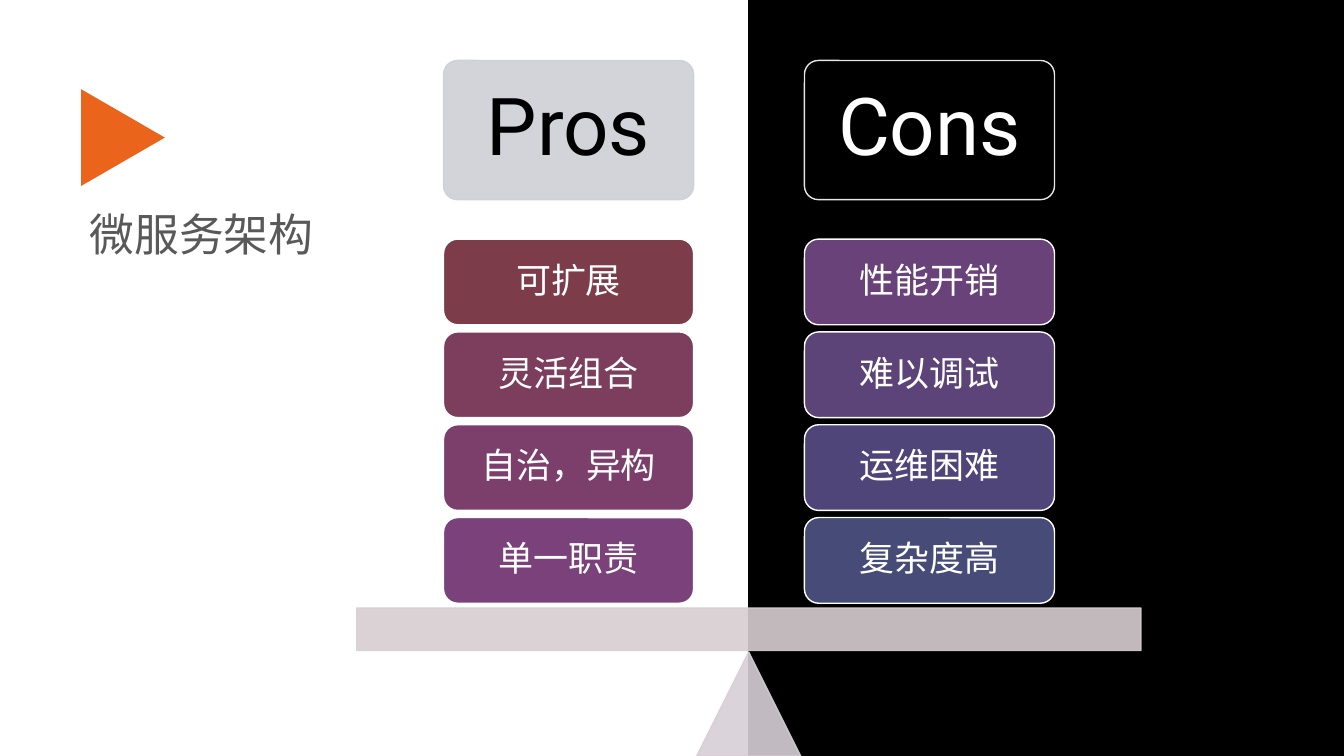
from dataclasses import dataclass

from lxml import etree
from pptx import Presentation
from pptx import util as u
from pptx.dml.color import RGBColor
from pptx.enum import shapes, text
from pptx.oxml import ns
from pptx.shapes.autoshape import Shape
from pptx.slide import Slide

COLORS = {
    "black": "000000", "white": "FFFFFF", "orange": "EB641B", "gray": "595959",
    "pros": "CFD0D6", "fulcrum": "D7CFD5", "beam": "D7CED0",
}
LATIN_FONT = "Roboto"
CHINESE_FONT = "Noto Sans CJK SC"

CARD_WIDTH = 178.6
HEADER_TOP, HEADER_HEIGHT = 43.2, 99.4
CARD_TOP, CARD_HEIGHT, CARD_PITCH = 170.8, 61.2, 66.3


@dataclass
class Box:
    left: float
    top: float
    width: float
    height: float


@dataclass
class Label:
    wording: str
    size: float
    color: str
    inset: float


@dataclass
class Column:
    left: float
    heading: str
    heading_color: str
    fill: str
    line: str
    cards: list[tuple[str, str]]


COLUMNS = [
    Column(316.8, "Pros", COLORS["black"], COLORS["pros"], COLORS["pros"], [
        ("可扩展", "7D3C4A"), ("灵活组合", "7C3E5C"),
        ("自治，异构", "7C3F6C"), ("单一职责", "7A417B")]),
    Column(574.6, "Cons", COLORS["white"], COLORS["black"], COLORS["white"], [
        ("性能开销", "6A427A"), ("难以调试", "5C4479"),
        ("运维困难", "4F4579"), ("复杂度高", "474B78")]),
]


def add_figure(slide: Slide, kind: shapes.MSO_SHAPE, box: Box, fill: str,
               line: str | None = None, opacity: int = 100) -> Shape:
    shape = slide.shapes.add_shape(
        kind, u.Pt(box.left), u.Pt(box.top), u.Pt(box.width), u.Pt(box.height))
    shape.shadow.inherit = False
    shape.fill.solid()
    shape.fill.fore_color.rgb = RGBColor.from_string(fill)
    if line is None:
        shape.line.fill.background()
    else:
        shape.line.color.rgb = RGBColor.from_string(line)
        shape.line.width = u.Pt(1)
    if opacity < 100:
        for color in shape.element.spPr.iter(ns.qn("a:srgbClr")):
            etree.SubElement(color, ns.qn("a:alpha"), val=str(opacity * 1000))
    return shape


def write_text(shape: Shape, wording: str, size: float, color: str, font: str) -> None:
    run = shape.text_frame.paragraphs[0].add_run()
    run.text = wording
    for name, value in {"size": u.Pt(size), "name": font}.items():
        setattr(run.font, name, value)
    run.font.color.rgb = RGBColor.from_string(color)
    latin = run.font.color and run._r.rPr.find(ns.qn("a:latin"))
    east_asian = etree.Element(ns.qn("a:ea"), typeface=CHINESE_FONT)
    latin.addnext(east_asian)


def label_card(shape: Shape, label: Label) -> None:
    frame_format = {"word_wrap": True, "vertical_anchor": text.MSO_ANCHOR.MIDDLE}
    for side in ("left", "top", "right", "bottom"):
        frame_format[f"margin_{side}"] = u.Pt(label.inset)
    for name, value in frame_format.items():
        setattr(shape.text_frame, name, value)
    paragraph = shape.text_frame.paragraphs[0]
    for name, value in {"alignment": text.PP_ALIGN.CENTER, "line_spacing": 0.9}.items():
        setattr(paragraph, name, value)
    write_text(shape, label.wording, label.size, label.color, LATIN_FONT)


def add_column(slide: Slide, column: Column) -> None:
    rounded = shapes.MSO_SHAPE.ROUNDED_RECTANGLE
    header = add_figure(
        slide, rounded, Box(column.left, HEADER_TOP, CARD_WIDTH, HEADER_HEIGHT),
        column.fill, column.line, opacity=90)
    header.adjustments[0] = 0.1
    label_card(header, Label(column.heading, 57, column.heading_color, 17.1))
    for row, (wording, fill) in enumerate(column.cards):
        box = Box(column.left, CARD_TOP + row * CARD_PITCH, CARD_WIDTH, CARD_HEIGHT)
        card = add_figure(slide, rounded, box, fill, COLORS["white"])
        label_card(card, Label(wording, 25, COLORS["white"], 7.5))


def add_title(slide: Slide) -> None:
    title = slide.shapes.add_textbox(u.Pt(56.9), u.Pt(144), u.Pt(234.7), u.Pt(46))
    title.text_frame.word_wrap = True
    title.text_frame.auto_size = text.MSO_AUTO_SIZE.SHAPE_TO_FIT_TEXT
    write_text(title, "微服务架构", 32, COLORS["gray"], CHINESE_FONT)


def add_scale(slide: Slide) -> None:
    """Draw the beam that carries both columns, and its fulcrum."""
    add_figure(slide, shapes.MSO_SHAPE.ISOSCELES_TRIANGLE, Box(497.7, 465.8, 74.2, 74.2),
               COLORS["fulcrum"], COLORS["fulcrum"], opacity=90)
    add_figure(slide, shapes.MSO_SHAPE.RECTANGLE, Box(254.8, 434.3, 560.2, 30.4),
               COLORS["beam"], COLORS["beam"], opacity=90)


def main() -> None:
    presentation = Presentation()
    presentation.slide_width = u.Pt(960)
    presentation.slide_height = u.Pt(540)
    slide = presentation.slides.add_slide(presentation.slide_layouts[6])

    add_figure(slide, shapes.MSO_SHAPE.RECTANGLE, Box(535, 0, 425, 540),
               COLORS["black"], COLORS["black"])
    pointer = add_figure(slide, shapes.MSO_SHAPE.ISOSCELES_TRIANGLE,
                         Box(53.3, 68.4, 69.1, 59.8), COLORS["orange"])
    pointer.rotation = 90
    add_title(slide)
    add_scale(slide)
    for column in COLUMNS:
        add_column(slide, column)
    presentation.save("out.pptx")


if __name__ == "__main__":
    main()
